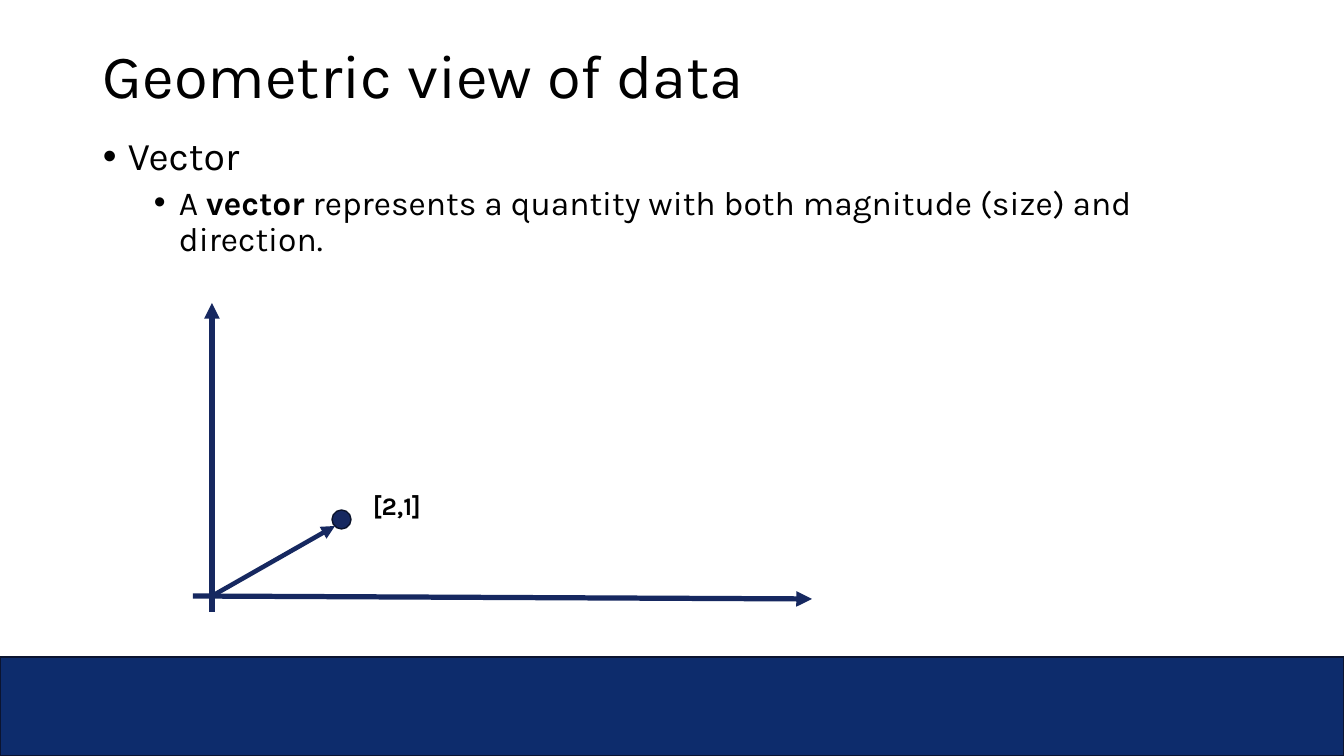
from dataclasses import dataclass

from lxml.etree import SubElement
from pptx import Presentation
from pptx.dml.color import RGBColor
from pptx.enum.shapes import MSO_CONNECTOR as Connector, MSO_SHAPE as Preset
from pptx.enum.text import MSO_ANCHOR as Anchor
from pptx.oxml.ns import qn
from pptx.slide import Slide
from pptx.text.text import TextFrame
from pptx.util import Emu, Pt

PAGE_WIDTH, PAGE_HEIGHT = 1344, 756
EMU_PER_PX = 12192000 / PAGE_WIDTH
FONT = "Karla"
COLOURS = {
    "text": "000000",
    "band": "0D2C6C",
    "band_edge": "0B1430",
    "plot": "162860",
    "dot_edge": "0A122A",
}


@dataclass(frozen=True)
class Box:
    left: int
    top: int
    width: int
    height: int


@dataclass(frozen=True)
class Solid:
    preset: Preset
    box: Box
    fill: str
    edge: str


@dataclass(frozen=True)
class Arrow:
    start: tuple[int, int]
    end: tuple[int, int]
    weight: float


ORIGIN = (212, 596)
BAND = Solid(Preset.RECTANGLE, Box(0, 657, PAGE_WIDTH, 99), "band", "band_edge")
POINT = Solid(Preset.OVAL, Box(332, 510, 19, 19), "plot", "dot_edge")
AXES = [
    Arrow((212, 612), (212, 303), 3.75),
    Arrow((193, 596), (812, 599), 3.75),
]
VECTOR = Arrow(ORIGIN, (335, 526), 3.25)


def px(length: float) -> Emu:
    return Emu(round(length * EMU_PER_PX))


def colour(name: str) -> RGBColor:
    return RGBColor.from_string(COLOURS[name])


def place(box: Box) -> tuple[Emu, Emu, Emu, Emu]:
    return px(box.left), px(box.top), px(box.width), px(box.height)


def draw_solid(page: Slide, solid: Solid) -> None:
    shape = page.shapes.add_shape(solid.preset, *place(solid.box))
    shape.shadow.inherit = False
    shape.fill.solid()
    shape.fill.fore_color.rgb = colour(solid.fill)
    shape.line.color.rgb = colour(solid.edge)
    shape.line.width = Pt(1)


def draw_arrow(page: Slide, arrow: Arrow) -> None:
    line = page.shapes.add_connector(
        Connector.STRAIGHT, *map(px, arrow.start + arrow.end)
    )
    line.line.color.rgb = colour("plot")
    line.line.width = Pt(arrow.weight)
    SubElement(line.line._get_or_add_ln(), qn("a:tailEnd"), type="triangle")
    SubElement(line._element.spPr, qn("a:effectLst"))


def add_frame(page: Slide, box: Box) -> TextFrame:
    frame = page.shapes.add_textbox(*place(box)).text_frame
    frame.word_wrap = True
    frame.vertical_anchor = Anchor.TOP
    return frame


def write(
    frame: TextFrame,
    text: str,
    *,
    size: int,
    bold: str = "",
    level: int = 0,
    indent: int = 0,
    before: int = 0,
    spacing: float = 1.0,
) -> None:
    """Add a paragraph; the words in bold are set bold, an indent adds a bullet."""
    para = frame.paragraphs[0]
    if para.runs:
        para = frame.add_paragraph()
    para.level = level
    para.line_spacing = spacing
    para.space_before = Pt(before)
    if indent:
        properties = para._p.get_or_add_pPr()
        properties.set("marL", str(px(indent)))
        properties.set("indent", str(-px(25)))
        SubElement(properties, qn("a:buFont"), typeface="Arial")
        SubElement(properties, qn("a:buChar"), char="•")
    head, middle, rest = text.partition(bold) if bold else (text, "", "")
    for words, heavy in ((head, False), (middle, True), (rest, False)):
        if words:
            span = para.add_run()
            span.text = words
            span.font.name = FONT
            span.font.size = Pt(size)
            span.font.bold = heavy
            span.font.color.rgb = colour("text")


def main() -> None:
    deck = Presentation()
    deck.slide_width, deck.slide_height = px(PAGE_WIDTH), px(PAGE_HEIGHT)
    page = deck.slides.add_slide(deck.slide_layouts[6])

    # Footer band
    draw_solid(page, BAND)

    # Title and bullets
    title = add_frame(page, Box(93, 40, 1159, 146))
    write(title, "Geometric view of data", size=44, spacing=0.9)
    body = add_frame(page, Box(93, 132, 1159, 480))
    write(body, "Vector", size=28, indent=25, before=10, spacing=0.9)
    write(
        body,
        "A vector represents a quantity with both magnitude (size) and direction.",
        size=24,
        bold="vector",
        level=1,
        indent=76,
        before=5,
        spacing=0.9,
    )

    # Axes, point and vector
    for axis in AXES:
        draw_arrow(page, axis)
    draw_solid(page, POINT)
    label = add_frame(page, Box(363, 485, 82, 40))
    write(label, "[2,1]", size=18, bold="[2,1]")
    draw_arrow(page, VECTOR)

    deck.save("out.pptx")


if __name__ == "__main__":
    main()
